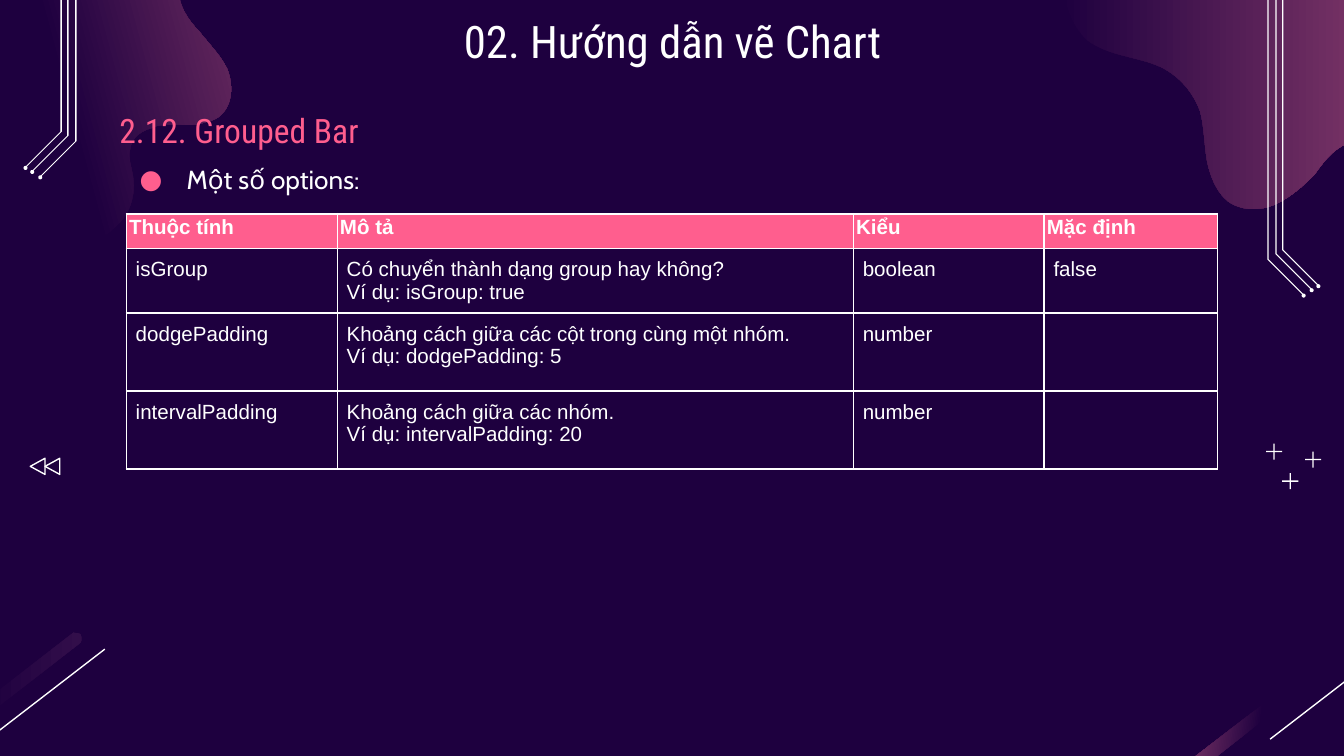
"""Build the Grouped Bar options slide."""
from pptx import Presentation
from pptx.dml.color import RGBColor
from pptx.enum.shapes import MSO_CONNECTOR as Connector, MSO_SHAPE as Shape
from pptx.enum.text import MSO_ANCHOR as Anchor, MSO_AUTO_SIZE as AutoSize, PP_ALIGN as Align
from pptx.oxml import parse_xml
from pptx.oxml.ns import nsdecls, qn
from pptx.oxml.xmlchemy import OxmlElement
from pptx.util import Inches, Pt

COLORS = {"night": "1E003F", "plum": "A64D79", "dusk": "320E4A", "pink": "FF5E8E", "white": "FFFFFF"}
HEADING_FONT, BODY_FONT, TABLE_FONT = "Roboto Condensed", "Cabin", "Arial"
LEFT_BLOB = [
    (0.48, 1.9), (0.74, 1.83, 0.86, 1.69, 0.9, 1.65), (0.98, 1.56, 1.01, 1.43, 0.99, 1.31),
    (0.98, 1.24, 0.95, 1.17, 0.97, 1.11), (0.98, 1.02, 1.06, 0.97, 1.14, 0.95), (1.15, 0.94, 1.15, 0.94, 1.16, 0.94),
    (1.24, 0.92, 1.33, 0.93, 1.42, 0.93), (1.46, 0.93, 1.5, 0.92, 1.53, 0.91), (1.58, 0.9, 1.63, 0.88, 1.66, 0.84),
    (1.74, 0.75, 1.73, 0.61, 1.69, 0.51), (1.64, 0.41, 1.55, 0.32, 1.48, 0.23), (1.4, 0.15, 1.33, 0.04, 1.33, -0.07),
    (1.33, -0.16, 1.36, -0.25, 1.43, -0.31), (1.47, -0.35, 1.53, -0.38, 1.59, -0.39), (1.68, -0.42, 1.79, -0.42, 1.9, -0.41),
    (2.01, -0.41, 2.12, -0.4, 2.23, -0.42), (2.25, -0.43, 2.26, -0.43, 2.28, -0.43), (2.37, -0.46, 2.46, -0.51, 2.52, -0.58),
    (2.59, -0.66, 2.61, -0.78, 2.58, -0.87), (2.56, -1.05, 2.44, -1.25, 2.33, -1.34), (2.15, -1.5, 1.9, -1.55, 1.67, -1.51),
    (1.66, -1.5, 1.65, -1.5, 1.64, -1.5), (1.29, -1.4, 1.03, -1.1, 0.7, -0.95), (0.65, -0.93, 0.59, -0.91, 0.54, -0.9),
    (0.22, -0.81, -0.13, -0.85, -0.47, -0.82), (-0.62, -0.81, -0.77, -0.78, -0.91, -0.74),
    (-1.04, -0.71, -1.16, -0.67, -1.28, -0.61), (-1.45, -0.54, -1.62, -0.44, -1.74, -0.3),
    (-1.86, -0.17, -1.95, 0.02, -1.94, 0.22), (-1.93, 0.46, -1.76, 0.68, -1.56, 0.8), (-1.35, 0.93, -1.12, 0.97, -0.88, 0.99),
    (-0.74, 1.01, -0.6, 1.01, -0.46, 1.06), (-0.32, 1.1, -0.19, 1.19, -0.13, 1.33), (-0.08, 1.44, -0.08, 1.55, -0.03, 1.66),
    (0.06, 1.84, 0.29, 1.95, 0.47, 1.9)]
RIGHT_BLOB = [
    (11.25, 0.38), (11.25, 0.13, 11.18, -0.13, 11.05, -0.35), (10.94, -0.54, 10.78, -0.7, 10.58, -0.77),
    (10.36, -0.85, 10.12, -0.81, 9.89, -0.84), (9.67, -0.87, 9.45, -0.97, 9.29, -1.13), (9.18, -1.23, 9.09, -1.35, 8.97, -1.41),
    (8.83, -1.48, 8.67, -1.46, 8.52, -1.43), (8.4, -1.4, 8.28, -1.36, 8.19, -1.29), (8.03, -1.17, 7.96, -0.97, 7.93, -0.78),
    (7.9, -0.65, 7.89, -0.51, 7.89, -0.38), (7.89, -0.31, 7.89, -0.24, 7.9, -0.18), (7.91, 0, 7.96, 0.18, 8.09, 0.3),
    (8.25, 0.42, 8.47, 0.42, 8.64, 0.5), (8.78, 0.57, 8.88, 0.69, 8.93, 0.83), (8.96, 0.94, 8.96, 1.07, 8.98, 1.19),
    (9, 1.3, 9.05, 1.43, 9.14, 1.5), (9.24, 1.57, 9.38, 1.57, 9.49, 1.52), (9.6, 1.47, 9.69, 1.39, 9.78, 1.3),
    (9.83, 1.23, 9.88, 1.16, 9.95, 1.11), (10.02, 1.06, 10.1, 1.03, 10.18, 1.06), (10.33, 1.1, 10.38, 1.3, 10.52, 1.38),
    (10.85, 1.57, 11.08, 1.12, 11.17, 0.88), (11.22, 0.72, 11.25, 0.55, 11.25, 0.38)]
STREAK = [
    (0.56, 4.71), (0.57, 4.71, 0.59, 4.71, 0.6, 4.72), (0.61, 4.75, 0.61, 4.78, 0.59, 4.79), (-0.81, 5.88),
    (-0.84, 5.89, -0.87, 5.89, -0.88, 5.87), (-0.9, 5.85, -0.9, 5.82, -0.87, 5.8), (0.53, 4.72),
    (0.54, 4.71, 0.55, 4.7, 0.56, 4.71)]
OPTIONS = [
    ("Thuộc tính", "Mô tả", "Kiểu", "Mặc định"),
    ("isGroup", "Có chuyển thành dạng group hay không?\nVí dụ: isGroup: true", "boolean", "false"),
    ("dodgePadding", "Khoảng cách giữa các cột trong cùng một nhóm.\nVí dụ: dodgePadding: 5", "number", ""),
    ("intervalPadding", "Khoảng cách giữa các nhóm.\nVí dụ: intervalPadding: 20", "number", "")]


class SlideBuilder:
    def __init__(self, slide):
        self.shapes = slide.shapes
        self.fill(slide.background.fill, "night")

    def color(self, name):
        return RGBColor.from_string(COLORS[name])

    def fill(self, fill, name):
        fill.solid()
        fill.fore_color.rgb = self.color(name)

    def paint(self, shape):
        shape.shadow.inherit = False
        self.fill(shape.fill, "white")
        shape.line.fill.background()
        return shape

    def stroke(self, line):
        line.color.rgb = self.color("white")
        line.width = Pt(0.75)

    def outline(self, segments, shift=0):
        points = [(Inches(s[i] + shift), Inches(s[i + 1])) for s in segments for i in range(0, len(s), 2)]
        builder = self.shapes.build_freeform(*points[0])
        builder.add_line_segments(points[1:], close=True)
        shape = builder.convert_to_shape()
        lines = iter(list(shape.element.iter(qn("a:lnTo"))))
        for segment in segments[1:]:
            first = next(lines)
            if len(segment) == 6:
                curve = OxmlElement("a:cubicBezTo")
                first.addprevious(curve)
                for line in (first, next(lines), next(lines)):
                    curve.append(line[0])
                    line.getparent().remove(line)
        return self.paint(shape)

    def glow(self, segments, angle, start=0.5, end="plum", shift=0):
        fill = self.outline(segments, shift).fill
        fill.gradient()
        fill.gradient_angle = angle
        for stop, position, name in zip(fill.gradient_stops, (start, 1), ("night", end)):
            stop.position = position
            stop.color.rgb = self.color(name)

    def solid(self, kind, x, y, width, height):
        box = (x - width / 2, y - height / 2, width, height)
        return self.paint(self.shapes.add_shape(kind, *map(Inches, box)))

    def triangle(self, x, y):
        shape = self.solid(Shape.ISOSCELES_TRIANGLE, x, y, 0.12, 0.11)
        shape.rotation = 270
        shape.fill.background()
        self.stroke(shape.line)

    def line(self, *ends):
        connector = self.shapes.add_connector(Connector.STRAIGHT, *map(Inches, ends))
        self.stroke(connector.line)
        connector.element.spPr.append(OxmlElement("a:effectLst"))

    def circuit(self, x, bend, mirrored):
        trace = [(x + 0.01, -1.19), (x, -1.19), (x, bend), (x + 0.27, bend + 0.27),
                 (x + 0.27, bend + 0.26), (x + 0.01, bend), (x + 0.27, bend + 0.27)]
        if mirrored:
            trace = [(10 - px, py - 0.88) for px, py in trace]
        self.outline(trace[:-1])
        self.solid(Shape.OVAL, *trace[-1], 0.03, 0.03)

    def style(self, paragraph, size, font, color="white", bold=False):
        for run in paragraph.runs:
            run.font.size, run.font.name, run.font.bold = Pt(size), font, bold
            run.font.color.rgb = self.color(color)

    def text(self, shape, text, size, font, color="white", anchor=Anchor.TOP):
        frame = shape.text_frame
        frame.text = text
        frame.word_wrap, frame.auto_size, frame.vertical_anchor = True, AutoSize.NONE, anchor
        frame.margin_left = frame.margin_right = frame.margin_top = frame.margin_bottom = Inches(0.1)
        self.style(frame.paragraphs[0], size, font, color)
        return frame.paragraphs[0]

    def title(self, text):
        shape = self.shapes.title
        shape.left, shape.top, shape.width, shape.height = map(Inches, (0.79, 0, 8.43, 0.63))
        self.text(shape, text, 24, HEADING_FONT).alignment = Align.CENTER

    def subtitle(self, text):
        box = self.shapes.add_textbox(*map(Inches, (0.79, 0.77, 7.02, 0.45)))
        paragraph = self.text(box, text, 18, HEADING_FONT, "pink", Anchor.BOTTOM)
        paragraph.line_spacing, paragraph.space_after = 1.15, Pt(12)

    def bullet(self, text):
        box = self.shapes.add_textbox(*map(Inches, (0.79, 1, 8.12, 0.5)))
        paragraph = self.text(box, text, 14, BODY_FONT)
        properties = paragraph._p.get_or_add_pPr()
        properties.set("marL", str(Inches(0.5)))
        properties.set("indent", str(Inches(-0.35)))
        for mark in (f'buClr {nsdecls("a")}><a:srgbClr val="{COLORS["pink"]}"/></a:buClr>',
                     f'buFont {nsdecls("a")} typeface="{BODY_FONT}"/>', f'buChar {nsdecls("a")} char="●"/>'):
            properties.append(parse_xml("<a:" + mark))
        paragraph.line_spacing = 1.5

    def table(self, rows, widths, heights):
        box = (0.94, 1.59, sum(widths), sum(heights))
        table = self.shapes.add_table(len(rows), len(widths), *map(Inches, box)).table
        for column, width in zip(table.columns, widths):
            column.width = Inches(width)
        for index, (row, height) in enumerate(zip(table.rows, heights)):
            row.height = Inches(height)
            for cell, text in zip(row.cells, rows[index]):
                self.cell(cell, text, index == 0)

    def cell(self, cell, text, header):
        cell.text = text
        margin = Inches(0.02 if header else 0.07)
        cell.margin_left = cell.margin_right = cell.margin_top = cell.margin_bottom = margin
        for side in ("lnL", "lnR", "lnT", "lnB"):
            cell._tc.get_or_add_tcPr().append(parse_xml(
                f'<a:{side} {nsdecls("a")} w="{Pt(1)}"><a:solidFill>'
                f'<a:srgbClr val="{COLORS["white"]}"/></a:solidFill></a:{side}>'))
        cell.fill.background()
        if header:
            self.fill(cell.fill, "pink")
        for paragraph in cell.text_frame.paragraphs:
            self.style(paragraph, 11, TABLE_FONT, bold=header)


def main():
    presentation = Presentation()
    presentation.slide_width, presentation.slide_height = Inches(10), Inches(10 * 9 / 16)
    builder = SlideBuilder(presentation.slides.add_slide(presentation.slide_layouts[5]))
    builder.glow(LEFT_BLOB, 15)
    builder.glow(RIGHT_BLOB, 0, start=0)
    for shift, angle, end in ((0, 0, "dusk"), (9.54, 173, "plum")):
        builder.glow(STREAK, angle, end=end, shift=shift)
        builder.line(0.78 + shift, 4.83, -0.09 + shift, 5.5)
    for mirrored in (False, True):
        for x, bend in ((9.54, 1.86), (9.49, 1.89), (9.43, 1.93)):
            builder.circuit(x, bend, mirrored)
    for x, y in ((9.6, 3.58), (9.77, 3.42), (9.48, 3.36)):
        builder.solid(Shape.RECTANGLE, x, y, 0.12, 0.01)
        builder.solid(Shape.RECTANGLE, x, y, 0.01, 0.12)
    for x in (0.28, 0.39):
        builder.triangle(x, 3.47)
    builder.bullet("Một số options:")
    builder.title("02. Hướng dẫn vẽ Chart")
    builder.subtitle("2.12. Grouped Bar")
    builder.table(OPTIONS, (1.57, 3.84, 1.42, 1.29), (0.26, 0.48, 0.58, 0.58))
    presentation.save("out.pptx")


if __name__ == "__main__":
    main()
